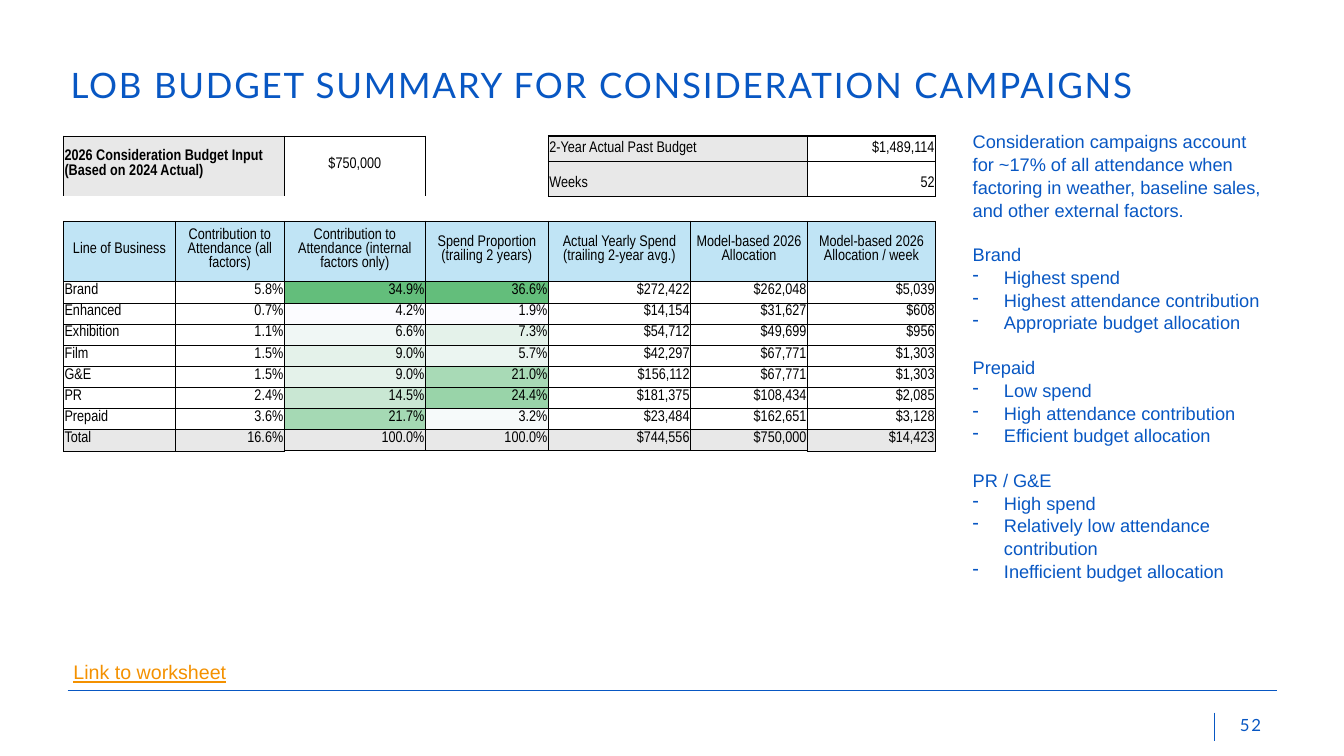
from dataclasses import dataclass
from typing import NamedTuple

from lxml.etree import SubElement
from pptx import Presentation
from pptx.dml.color import RGBColor
from pptx.enum.shapes import MSO_CONNECTOR
from pptx.enum.text import MSO_ANCHOR, MSO_AUTO_SIZE, PP_ALIGN
from pptx.oxml.ns import qn
from pptx.util import Inches, Pt


@dataclass(frozen=True)
class Theme:
    blue: str = "0857C3"
    orange: str = "F49100"
    black: str = "000000"
    white: str = "FFFFFF"
    gray: str = "E8E8E8"
    header: str = "C0E4F5"
    heat_low: str = "FCFCFF"
    heat_high: str = "63BE7B"
    heading_font: str = "Lato"
    body_font: str = "Arial"
    table_font: str = "Arial Narrow"
    title_size: float = 25
    link_size: float = 14
    sidebar_size: float = 13
    page_size: float = 12
    table_size: float = 11
    tracking: int = 130


class Box(NamedTuple):
    x: float
    y: float
    w: float
    h: float


class Line(NamedTuple):
    x1: float
    y1: float
    x2: float
    y2: float


class Finding(NamedTuple):
    heading: str
    points: list[str]


class Cell(NamedTuple):
    text: str
    align: PP_ALIGN = PP_ALIGN.RIGHT
    anchor: MSO_ANCHOR = MSO_ANCHOR.BOTTOM
    fill: str | None = None
    bold: bool = False
    rows: int = 1
    cols: int = 1
    border: float | None = None


T = Theme()
W, H = Inches(13.33), Inches(7.5)
LEFT, CENTER = PP_ALIGN.LEFT, PP_ALIGN.CENTER
MIDDLE = MSO_ANCHOR.MIDDLE

COLS = [8.33, 8.1, 10.5, 9.15, 10.58, 8.7, 9.53]
EDGES = [0.5, 0.5, 1, 0.5, 1, 0.5, 1, 0.5]
HEADER_ROW, ROW_H, HEADER_H = 3, 2.8, 8
HEADERS = [
    "Line of Business",
    "Contribution to Attendance (all factors)",
    "Contribution to Attendance (internal factors only)",
    "Spend Proportion (trailing 2 years)",
    "Actual Yearly Spend (trailing 2-year avg.)",
    "Model-based 2026 Allocation",
    "Model-based 2026 Allocation / week",
]
BUSINESS = [
    ("Brand", 5.8, 34.9, 36.6, 272422, 262048, 5039),
    ("Enhanced", 0.7, 4.2, 1.9, 14154, 31627, 608),
    ("Exhibition", 1.1, 6.6, 7.3, 54712, 49699, 956),
    ("Film", 1.5, 9.0, 5.7, 42297, 67771, 1303),
    ("G&E", 1.5, 9.0, 21.0, 156112, 67771, 1303),
    ("PR", 2.4, 14.5, 24.4, 181375, 108434, 2085),
    ("Prepaid", 3.6, 21.7, 3.2, 23484, 162651, 3128),
]
TOTAL = ("Total", 16.6, 100.0, 100.0, 744556, 750000, 14423)
INPUTS = {
    (0, 0): Cell("2026 Consideration Budget Input\n(Based on 2024 Actual)", LEFT, MIDDLE,
                 T.gray, True, rows=2, cols=2, border=0.75),
    (0, 2): Cell("$750,000", CENTER, MIDDLE, rows=2, border=0.75),
    (0, 4): Cell("2-Year Actual Past Budget", LEFT, fill=T.gray, cols=2, border=1),
    (0, 6): Cell("$1,489,114", border=1),
    (1, 4): Cell("Weeks", LEFT, fill=T.gray, cols=2, border=1),
    (1, 6): Cell("52", border=1),
}
INTRO = ("Consideration campaigns account for ~17% of all attendance when factoring in "
         "weather, baseline sales, and other external factors.")
FINDINGS = [
    Finding("Brand", ["Highest spend", "Highest attendance contribution",
                      "Appropriate budget allocation"]),
    Finding("Prepaid", ["Low spend", "High attendance contribution",
                        "Efficient budget allocation"]),
    Finding("PR / G&E", ["High spend", "Relatively low attendance contribution",
                         "Inefficient budget allocation"]),
]
RULES = [Line(90.4, 94.27, 90.4, 98), Line(5.03, 91.33, 95.05, 91.33)]


def across(share: float) -> int:
    return round(W * share / 100)


def down(share: float) -> int:
    return round(H * share / 100)


def add_text(p, text: str, *, size: float, font: str = T.body_font, color: str = T.blue,
             align: PP_ALIGN = LEFT, bold: bool = False, underline: bool = False,
             tracking: int = 0, before: float = 0, spacing: float = 1) -> None:
    p.alignment = align
    p.space_before = Pt(before)
    p.line_spacing = spacing
    r = p.add_run()
    r.text = text
    f = r.font
    f.size, f.name, f.bold, f.underline = Pt(size), font, bold, underline
    f.color.rgb = RGBColor.from_string(color)
    if tracking:
        r._r.get_or_add_rPr().set("spc", str(tracking))


def add_box(s, box: Box, *, wrap: bool = True, anchor: MSO_ANCHOR = MSO_ANCHOR.TOP):
    sp = s.shapes.add_textbox(across(box.x), down(box.y), across(box.w), down(box.h))
    tf = sp.text_frame
    tf.word_wrap, tf.vertical_anchor, tf.auto_size = wrap, anchor, MSO_AUTO_SIZE.NONE
    return tf


def add_rule(s, line: Line) -> None:
    c = s.shapes.add_connector(MSO_CONNECTOR.STRAIGHT, across(line.x1), down(line.y1),
                               across(line.x2), down(line.y2))
    c.line.color.rgb = RGBColor.from_string(T.blue)
    c.line.width = Pt(0.75)
    SubElement(c._element.spPr, qn("a:effectLst"))


def add_sidebar(s, box: Box) -> None:
    tf = add_box(s, box)
    style = dict(size=T.sidebar_size, spacing=1.04)
    add_text(tf.paragraphs[0], INTRO, **style)
    for finding in FINDINGS:
        add_text(tf.add_paragraph(), finding.heading, before=15.6, **style)
        for point in finding.points:
            p = tf.add_paragraph()
            pPr = p._p.get_or_add_pPr()
            pPr.set("marL", str(Inches(0.31)))
            pPr.set("indent", str(-Inches(0.31)))
            SubElement(pPr, qn("a:buChar"), char="-")
            add_text(p, point, **style)


def heat(value: float, values: list[float]) -> str:
    share = (value - min(values)) / (max(values) - min(values))
    low, high = RGBColor.from_string(T.heat_low), RGBColor.from_string(T.heat_high)
    return str(RGBColor(*(round(a + (b - a) * share) for a, b in zip(low, high))))


def set_borders(cell, widths: dict[str, float]) -> None:
    tcPr = cell._tc.get_or_add_tcPr()
    for side in "LRTB":
        if side in widths:
            ln = SubElement(tcPr, qn(f"a:ln{side}"), w=str(Pt(widths[side])))
            SubElement(SubElement(ln, qn("a:solidFill")), qn("a:srgbClr"), val=T.black)


def table_cells() -> dict[tuple[int, int], Cell]:
    cells = dict(INPUTS)
    for c, text in enumerate(HEADERS):
        cells[HEADER_ROW, c] = Cell(text, CENTER, MIDDLE, T.header)
    for r, row in enumerate([*BUSINESS, TOTAL], HEADER_ROW + 1):
        for c, value in enumerate(row):
            fill = T.gray if row is TOTAL else None
            if c in (2, 3) and row is not TOTAL:
                fill = heat(value, [b[c] for b in BUSINESS])
            text = value if c == 0 else f"{value:.1f}%" if c < 4 else f"${value:,}"
            cells[r, c] = Cell(text, LEFT if c == 0 else PP_ALIGN.RIGHT, fill=fill)
    return cells


def add_budget_table(s, x: float, y: float) -> None:
    heights = [HEADER_H if r == HEADER_ROW else ROW_H for r in range(HEADER_ROW + 2 + len(BUSINESS))]
    tbl = s.shapes.add_table(len(heights), len(COLS), across(x), down(y),
                             across(sum(COLS)), down(sum(heights))).table
    tbl.first_row = tbl.horz_banding = False
    tbl._tbl.tblPr.find(qn("a:tableStyleId")).text = "{2D5ABB26-0587-4C30-8999-92F81FD0307C}"
    for column, share in zip(tbl.columns, COLS):
        column.width = across(share)
    for row, share in zip(tbl.rows, heights):
        row.height = down(share)
    cells = table_cells()
    last = len(heights) - 1
    for (r, c), item in cells.items():
        for i in range(r, r + item.rows):
            for j in range(c, c + item.cols):
                outer = {"L": j == c, "R": j == c + item.cols - 1,
                         "T": i == r, "B": i == r + item.rows - 1}
                heavy = 1 if 2 <= c <= 5 else 0.5
                grid = {"L": EDGES[c], "R": EDGES[c + 1],
                        "T": heavy if r == HEADER_ROW else 0.5, "B": heavy if r == last else 0.5}
                set_borders(tbl.cell(i, j), {k: item.border or grid[k] for k in outer if outer[k]})
        if item.rows * item.cols > 1:
            tbl.cell(r, c).merge(tbl.cell(r + item.rows - 1, c + item.cols - 1))
    for r in range(len(heights)):
        for c in range(len(COLS)):
            cell, item = tbl.cell(r, c), cells.get((r, c))
            cell.margin_left = cell.margin_top = cell.margin_right = Inches(0.01)
            cell.margin_bottom = Inches(0.05)
            cell.fill.solid()
            cell.fill.fore_color.rgb = RGBColor.from_string(item and item.fill or T.white)
            tf = cell.text_frame
            if item is None:
                SubElement(tf.paragraphs[0]._p, qn("a:endParaRPr"), sz=str(T.table_size * 100))
                continue
            cell.vertical_anchor = item.anchor
            for n, text in enumerate(item.text.split("\n")):
                add_text(tf.add_paragraph() if n else tf.paragraphs[0], text, size=T.table_size,
                         font=T.table_font, color=T.black, align=item.align, bold=item.bold)


def main() -> None:
    prs = Presentation()
    prs.slide_width, prs.slide_height = W, H
    s = prs.slides.add_slide(prs.slide_layouts[6])
    for rule in RULES:
        add_rule(s, rule)
    heading = dict(font=T.heading_font, tracking=T.tracking)
    page = add_box(s, Box(91.52, 93.87, 3.3, 4), wrap=False)
    add_text(page.paragraphs[0], "52", size=T.page_size, **heading)
    title = add_box(s, Box(0, 4.27, 93.85, 13.73), anchor=MIDDLE)
    title.margin_left = Inches(0.7)
    add_text(title.paragraphs[0], "LOB BUDGET SUMMARY FOR CONSIDERATION CAMPAIGNS",
             size=T.title_size, **heading)
    link = add_box(s, Box(4.73, 86.67, 18.08, 4.53))
    add_text(link.paragraphs[0], "Link to worksheet", size=T.link_size, color=T.orange,
             align=PP_ALIGN.JUSTIFY, underline=True)
    add_budget_table(s, 4.73, 18)
    add_sidebar(s, Box(71.64, 16.53, 23.41, 71.33))
    prs.save("out.pptx")


if __name__ == "__main__":
    main()
